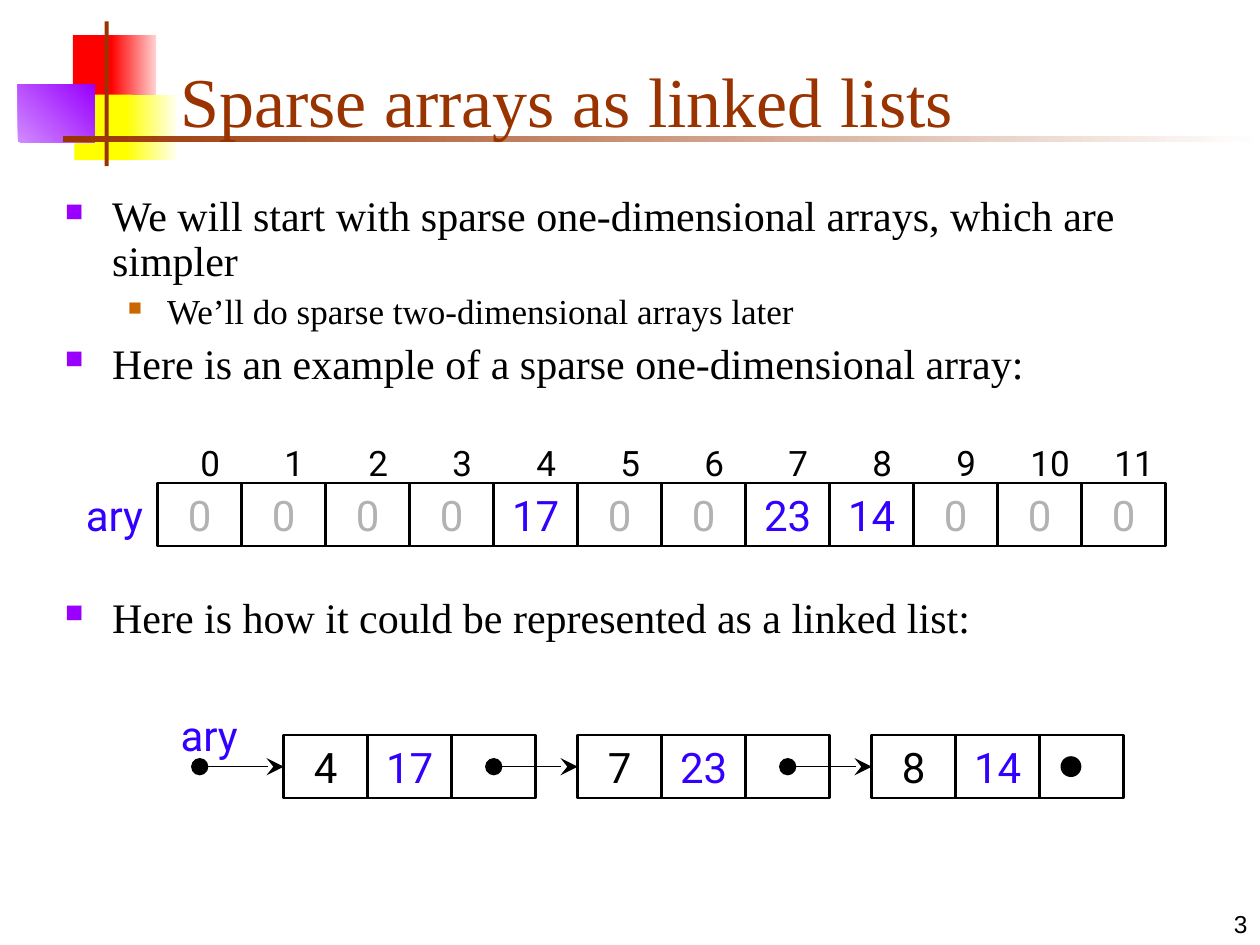
"""Build the slide 'Sparse arrays as linked lists'."""
from lxml import etree
from pptx import Presentation
from pptx import util as u
from pptx.dml.color import RGBColor
from pptx.enum import shapes, text
from pptx.oxml.ns import qn

COLORS = {
    "black": "000000", "brown": "993300", "red": "FF0000", "pink": "FFD1D1",
    "yellow": "FFFF00", "ivory": "FFFFF0", "lilac": "D18BFF", "purple": "9900FF",
    "white": "FFFFFF", "orange": "CC6600", "blue": "3300FF", "gray": "B2B2B2",
}
SERIF, SANS, NUMBER_FONT = "Times New Roman", "Roboto", "Arial"
TITLE = "Sparse arrays as linked lists"
SLIDE_NUMBER = "3"
ARRAY_NAME = "ary"
ARRAY = [0, 0, 0, 0, 17, 0, 0, 23, 14, 0, 0, 0]

DECORATION = [
    ((1.47, 0.71, 0.89, 1.32), ["red"], 0),
    ((2.24, 0.71, 0.91, 1.32), ["red", "pink"], 0),
    ((1.5, 1.91, 1.17, 1.32), ["yellow"], 0),
    ((2.54, 1.91, 1.02, 1.32), ["yellow", "ivory"], 0),
    ((0.36, 1.7, 1.55, 1.17), ["lilac", "purple"], 45),
    ((2.11, 0.43, 0.08, 2.92), ["brown"], 0),
    ((1.27, 2.74, 24.13, 0.13), ["brown", "white"], 0),
]
BULLET_STYLES = [
    {"left": 0.95, "hang": 0.95, "before": 6, "color": "purple", "percent": 60, "size": 24},
    {"left": 2.06, "hang": 0.79, "before": 5, "color": "orange", "percent": 55, "size": 20},
]
BODIES = [
    ((1.06, 3.81, 23.81, 4.19), 0.9, [
        (0, "We will start with sparse one-dimensional arrays, which are simpler"),
        (1, "We’ll do sparse two-dimensional arrays later"),
        (0, "Here is an example of a sparse one-dimensional array:"),
    ]),
    ((1.06, 11.79, 23.81, 2.95), 1.0, [
        (0, "Here is how it could be represented as a linked list:"),
    ]),
]

SLIDE_WIDTH, SLIDE_HEIGHT = 25.4, 19.05
CELL_WIDTH, CELL_HEIGHT = SLIDE_WIDTH / 15, 1.27
ARRAY_LEFT, ARRAY_TOP = 3.18, 9.74
INDEX_LEFT, INDEX_TOP = 3.39, 8.68
LIST_LEFT, LIST_TOP = 5.72, 14.82
NODE_PITCH = 3.5 * CELL_WIDTH
DOT_SIZE = 0.42


def rgb(name):
    return RGBColor.from_string(COLORS[name])


def format_runs(paragraph, font_name, size, color):
    for run in paragraph.runs:
        run.font.name = font_name
        run.font.size = u.Pt(size)
        run.font.color.rgb = rgb(color)


def add_box(parent, kind, box, fills=(), angle=0, outlined=False):
    shape = parent.add_shape(kind, *map(u.Cm, box))
    shape.shadow.inherit = False
    if len(fills) == 2:
        shape.fill.gradient()
        shape.fill.gradient_angle = angle
        for stop, name in zip(shape.fill.gradient_stops, fills):
            stop.color.rgb = rgb(name)
    elif fills:
        shape.fill.solid()
        shape.fill.fore_color.rgb = rgb(fills[0])
    else:
        shape.fill.background()
    if outlined:
        shape.line.color.rgb = rgb("black")
        shape.line.width = u.Pt(1.5)
    else:
        shape.line.fill.background()
    return shape


def add_cell(parent, left, top, value="", color="black", size=24, outlined=True):
    box = (left, top, CELL_WIDTH, CELL_HEIGHT)
    shape = add_box(parent, shapes.MSO_SHAPE.FLOWCHART_PROCESS, box, outlined=outlined)
    frame = shape.text_frame
    frame.word_wrap = False
    frame.vertical_anchor = text.MSO_ANCHOR.MIDDLE
    frame.text = str(value)
    frame.paragraphs[0].alignment = text.PP_ALIGN.CENTER
    format_runs(frame.paragraphs[0], SANS, size, color)


def add_label(parent, box, words, font_name, size, color,
              anchor=text.MSO_ANCHOR.TOP, align=text.PP_ALIGN.LEFT, before=0):
    frame = parent.add_textbox(*map(u.Cm, box)).text_frame
    frame.word_wrap = True
    frame.vertical_anchor = anchor
    frame.text = words
    paragraph = frame.paragraphs[0]
    paragraph.alignment = align
    paragraph.space_before = u.Pt(before)
    format_runs(paragraph, font_name, size, color)


def add_bullet(paragraph, style):
    properties = paragraph._p.get_or_add_pPr()
    properties.set("marL", str(u.Cm(style["left"])))
    properties.set("indent", str(-u.Cm(style["hang"])))
    bullet_color = etree.SubElement(properties, qn("a:buClr"))
    etree.SubElement(bullet_color, qn("a:srgbClr"), val=COLORS[style["color"]])
    etree.SubElement(properties, qn("a:buSzPct"), val=str(style["percent"] * 1000))
    etree.SubElement(properties, qn("a:buChar"), char="■")


def add_body(parent, box, line_spacing, items):
    frame = parent.add_textbox(*map(u.Cm, box)).text_frame
    frame.word_wrap = True
    frame.text = "\n".join(words for _, words in items)
    for paragraph, (level, _) in zip(frame.paragraphs, items):
        style = BULLET_STYLES[level]
        paragraph.level = level
        paragraph.line_spacing = line_spacing
        paragraph.space_before = u.Pt(style["before"])
        add_bullet(paragraph, style)
        format_runs(paragraph, SERIF, style["size"], "black")


def add_pointer(parent, end_x):
    y = LIST_TOP + CELL_HEIGHT / 2
    ends = (end_x - CELL_WIDTH, y, end_x, y)
    connector = parent.add_connector(shapes.MSO_CONNECTOR.STRAIGHT, *map(u.Cm, ends))
    connector.line.color.rgb = rgb("black")
    connector.line.width = u.Pt(0.75)
    line = connector.line._get_or_add_ln()
    for tag, kind in (("a:headEnd", "oval"), ("a:tailEnd", "stealth")):
        etree.SubElement(line, qn(tag), type=kind, w="lg", len="lg")
    etree.SubElement(connector._element.spPr, qn("a:effectLst"))


def add_array(parent):
    for index, value in enumerate(ARRAY):
        offset = index * CELL_WIDTH
        add_cell(parent, ARRAY_LEFT + offset, ARRAY_TOP, value, "blue" if value else "gray")
        add_cell(parent, INDEX_LEFT + offset, INDEX_TOP, index, size=20, outlined=False)
    add_label(parent, (1.48, ARRAY_TOP, 2.74, CELL_HEIGHT), ARRAY_NAME, SANS, 24, "blue", before=15)


def add_linked_list(parent):
    nodes = [(index, value) for index, value in enumerate(ARRAY) if value]
    for position, (index, value) in enumerate(nodes):
        left = LIST_LEFT + position * NODE_PITCH
        add_cell(parent, left, LIST_TOP, index)
        add_cell(parent, left + CELL_WIDTH, LIST_TOP, value, "blue")
        add_cell(parent, left + 2 * CELL_WIDTH, LIST_TOP)
    for position in range(len(nodes)):
        add_pointer(parent, LIST_LEFT + position * NODE_PITCH)
    dot_box = (21.38, LIST_TOP + (CELL_HEIGHT - DOT_SIZE) / 2, DOT_SIZE, DOT_SIZE)
    add_box(parent, shapes.MSO_SHAPE.OVAL, dot_box, ["black"])
    add_label(parent, (3.39, 14.18, 2.74, CELL_HEIGHT), ARRAY_NAME, SANS, 24, "blue", before=15)


def main():
    presentation = Presentation()
    presentation.slide_width = u.Cm(SLIDE_WIDTH)
    presentation.slide_height = u.Cm(SLIDE_HEIGHT)
    slide = presentation.slides.add_slide(presentation.slide_layouts[6])
    for box, fills, angle in DECORATION:
        add_box(slide.shapes, shapes.MSO_SHAPE.RECTANGLE, box, fills, angle)
    bottom = text.MSO_ANCHOR.BOTTOM
    add_label(slide.shapes, (20.12, 17.78, 5.28, 1.27), SLIDE_NUMBER, NUMBER_FONT, 14, "black",
              bottom, text.PP_ALIGN.RIGHT)
    add_label(slide.shapes, (3.39, 0.64, 21.64, 2.33), TITLE, SERIF, 40, "brown", bottom)
    for box, line_spacing, items in BODIES:
        add_body(slide.shapes, box, line_spacing, items)
    add_array(slide.shapes.add_group_shape().shapes)
    add_linked_list(slide.shapes.add_group_shape().shapes)
    presentation.save("out.pptx")


if __name__ == "__main__":
    main()
